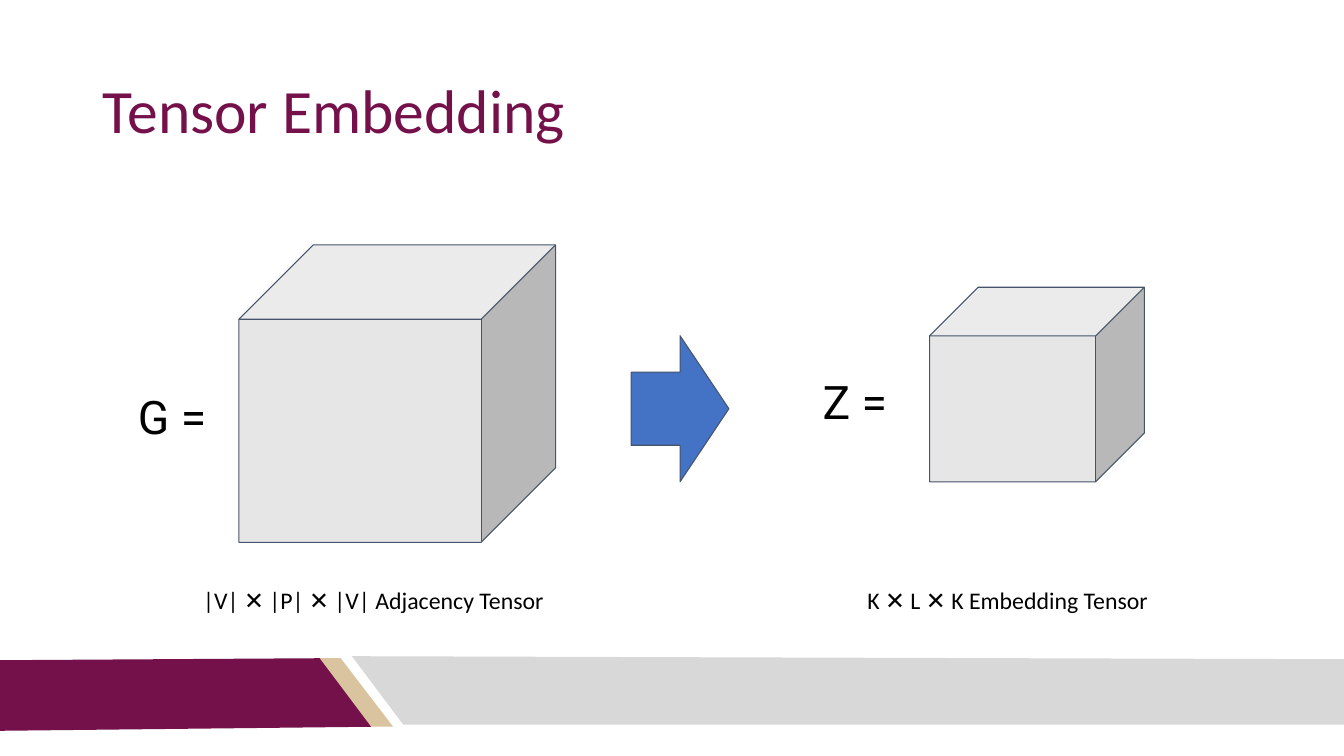
from dataclasses import dataclass

from pptx import Presentation
from pptx.dml.color import RGBColor
from pptx.enum.shapes import MSO_SHAPE
from pptx.enum.text import MSO_ANCHOR, MSO_AUTO_SIZE, PP_ALIGN
from pptx.util import Inches, Pt

CUBE, ARROW = MSO_SHAPE.CUBE, MSO_SHAPE.RIGHT_ARROW
LEFT, CENTER = PP_ALIGN.LEFT, PP_ALIGN.CENTER
TOP, MIDDLE = MSO_ANCHOR.TOP, MSO_ANCHOR.MIDDLE
GROW, FIXED = MSO_AUTO_SIZE.SHAPE_TO_FIT_TEXT, MSO_AUTO_SIZE.NONE
TITLE_ONLY = 5
WIDTH, HEIGHT = 13.33, 7.5

COLORS = {
    "maroon": "75114A",
    "gold": "D9C49F",
    "silver": "D8D8D8",
    "cube": "E7E6E6",
    "arrow": "4472C4",
    "outline": "44546A",
    "text": "000000",
}


@dataclass
class Band:
    color: str
    corners: list[tuple[float, float]]


@dataclass
class Solid:
    kind: MSO_SHAPE
    area: tuple[float, float, float, float]
    color: str


@dataclass
class Label:
    text: str
    area: tuple[float, float, float, float]
    font: str
    size: float
    align: PP_ALIGN


BANDS = [
    Band("gold", [(3.16, 6.53), (3.38, 6.53), (3.9, 7.21), (3.67, 7.21)]),
    Band("maroon", [(0, 6.55), (3.17, 6.53), (3.68, 7.21), (0, 7.25)]),
    Band("silver", [(3.49, 6.51), (WIDTH, 6.54), (WIDTH, 7.19), (4, 7.19)]),
]
SOLIDS = [
    Solid(CUBE, (2.37, 2.43, 3.14, 2.95), "cube"),
    Solid(CUBE, (9.22, 2.85, 2.13, 1.93), "cube"),
    Solid(ARROW, (6.26, 3.33, 0.97, 1.45), "arrow"),
]
LABELS = [
    Label("G =", (1.27, 3.75, 0.97, 0.76), "Roboto", 33, LEFT),
    Label("Z =", (8.06, 3.6, 0.97, 0.76), "Roboto", 33, LEFT),
    Label("|V| ✕ |P| ✕ |V| Adjacency Tensor", (1.9, 5.71, 3.61, 0.49), "Calibri", 17, CENTER),
    Label("K ✕ L ✕ K Embedding Tensor", (8.19, 5.71, 3.61, 0.49), "Calibri", 17, CENTER),
]
TITLE = Label("Tensor Embedding", (0.92, 0.4, 11.5, 1.45), "Calibri", 44, LEFT)


def rgb(name: str) -> RGBColor:
    return RGBColor.from_string(COLORS[name])


def set_all(target, values: dict) -> None:
    for name, value in values.items():
        setattr(target, name, value)


def paint(shape, color: str) -> None:
    shape.shadow.inherit = False
    shape.fill.solid()
    shape.fill.fore_color.rgb = rgb(color)


def draw_band(page, band: Band) -> None:
    points = [(Inches(x), Inches(y)) for x, y in band.corners]
    builder = page.shapes.build_freeform(*points[0])
    builder.add_line_segments(points[1:], close=True)
    shape = builder.convert_to_shape()
    paint(shape, band.color)
    shape.line.fill.background()


def draw_solid(page, solid: Solid) -> None:
    shape = page.shapes.add_shape(solid.kind, *map(Inches, solid.area))
    paint(shape, solid.color)
    shape.line.color.rgb = rgb("outline")
    shape.line.width = Pt(0.75)


def write(box, label: Label, color: str, anchor: MSO_ANCHOR, fit: MSO_AUTO_SIZE) -> None:
    frame = box.text_frame
    frame.text = label.text
    margins = dict.fromkeys(
        ("margin_left", "margin_top", "margin_right", "margin_bottom"), Inches(0.1)
    )
    set_all(frame, {"word_wrap": True, "auto_size": fit, "vertical_anchor": anchor, **margins})
    para = frame.paragraphs[0]
    para.alignment = label.align
    font = para.runs[0].font
    set_all(font, {"name": label.font, "size": Pt(label.size)})
    font.color.rgb = rgb(color)


def draw_label(page, label: Label) -> None:
    box = page.shapes.add_textbox(*map(Inches, label.area))
    write(box, label, "text", TOP, GROW)


def draw_title(page) -> None:
    title = page.shapes.title
    set_all(title, dict(zip(("left", "top", "width", "height"), map(Inches, TITLE.area))))
    write(title, TITLE, "maroon", MIDDLE, FIXED)
    title.text_frame.paragraphs[0].line_spacing = 0.9


def main() -> None:
    deck = Presentation()
    deck.slide_width, deck.slide_height = Inches(WIDTH), Inches(HEIGHT)
    page = deck.slides.add_slide(deck.slide_layouts[TITLE_ONLY])
    draw_title(page)
    for band in BANDS:
        draw_band(page, band)
    for solid in SOLIDS:
        draw_solid(page, solid)
    for label in LABELS:
        draw_label(page, label)
    deck.save("out.pptx")


if __name__ == "__main__":
    main()
